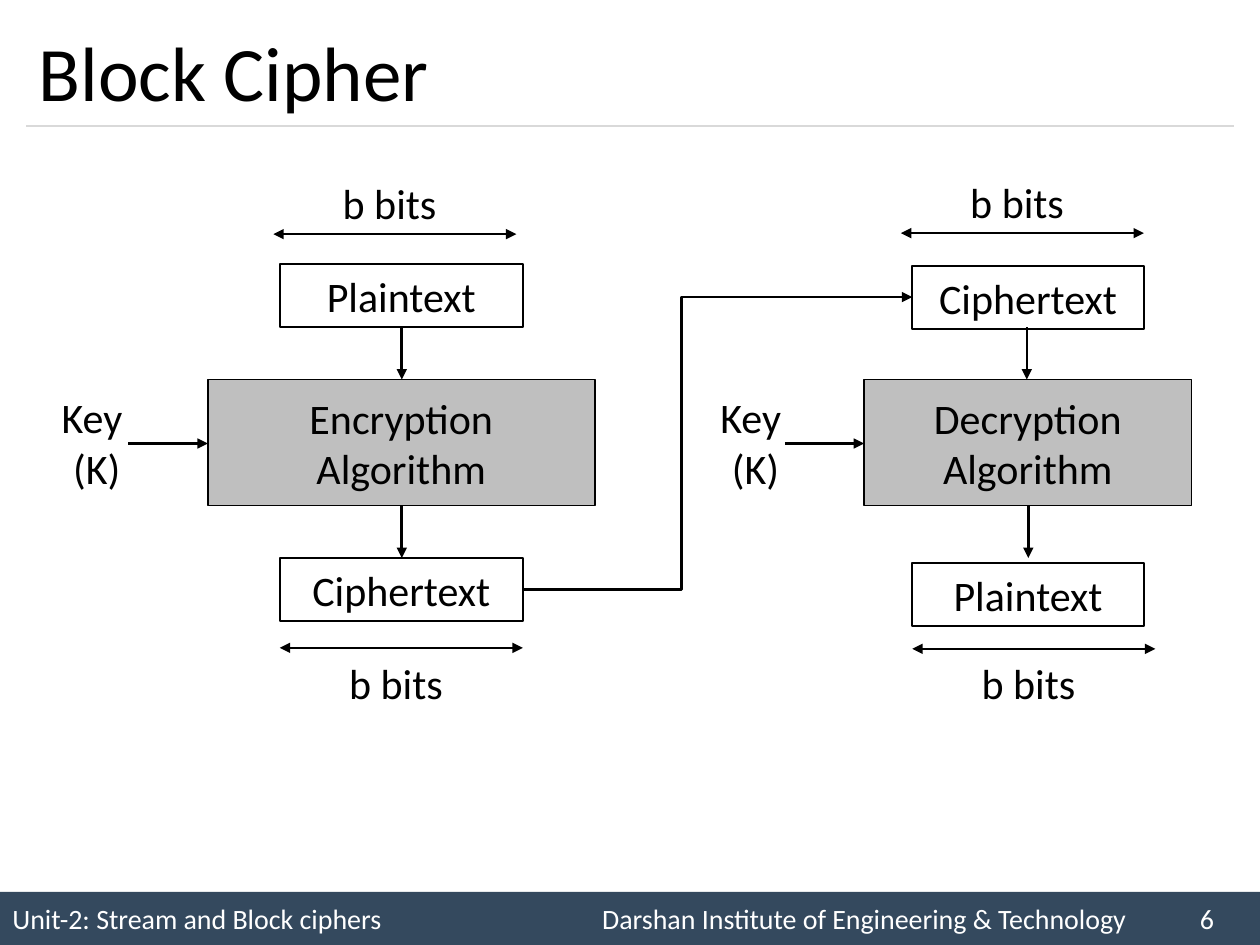
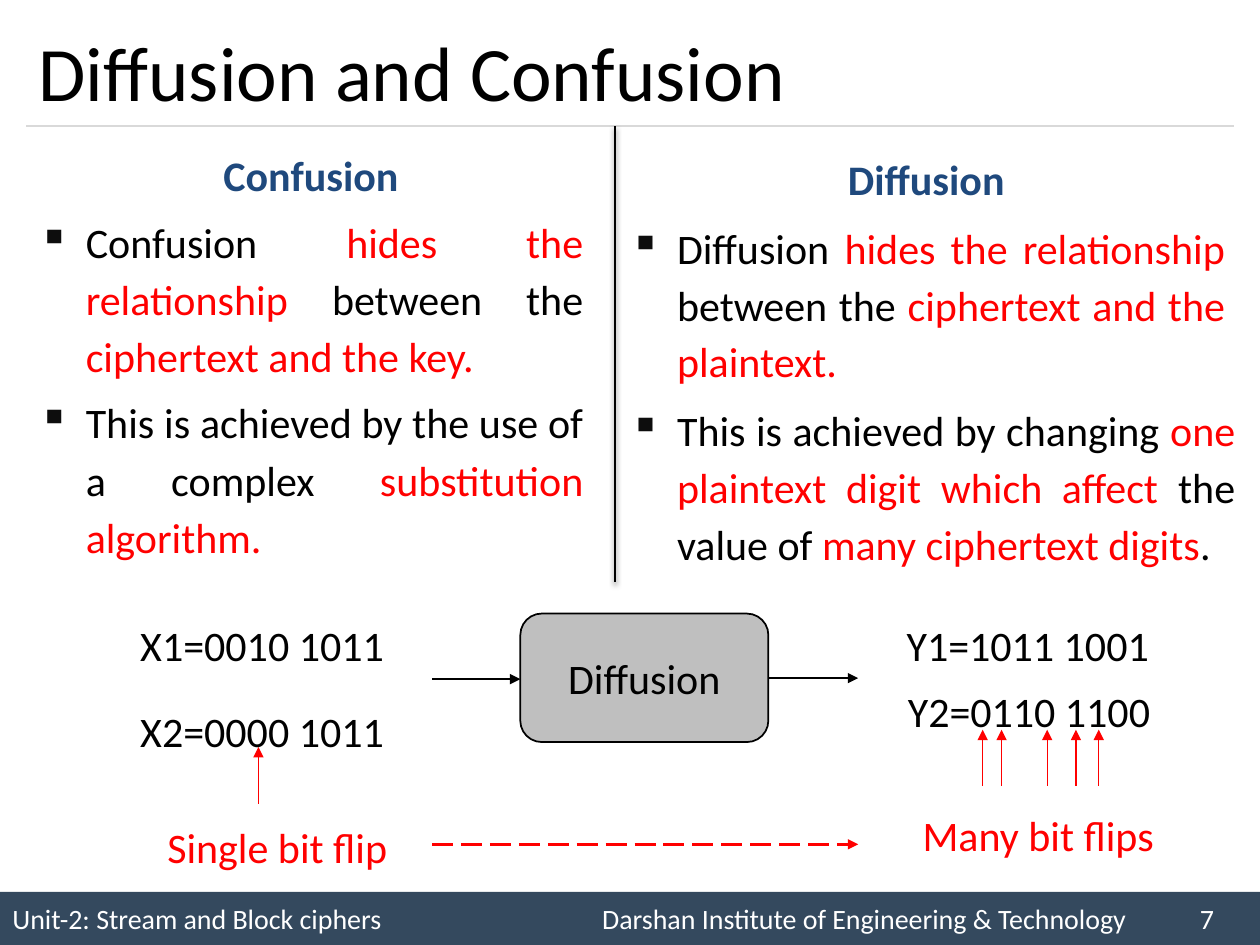
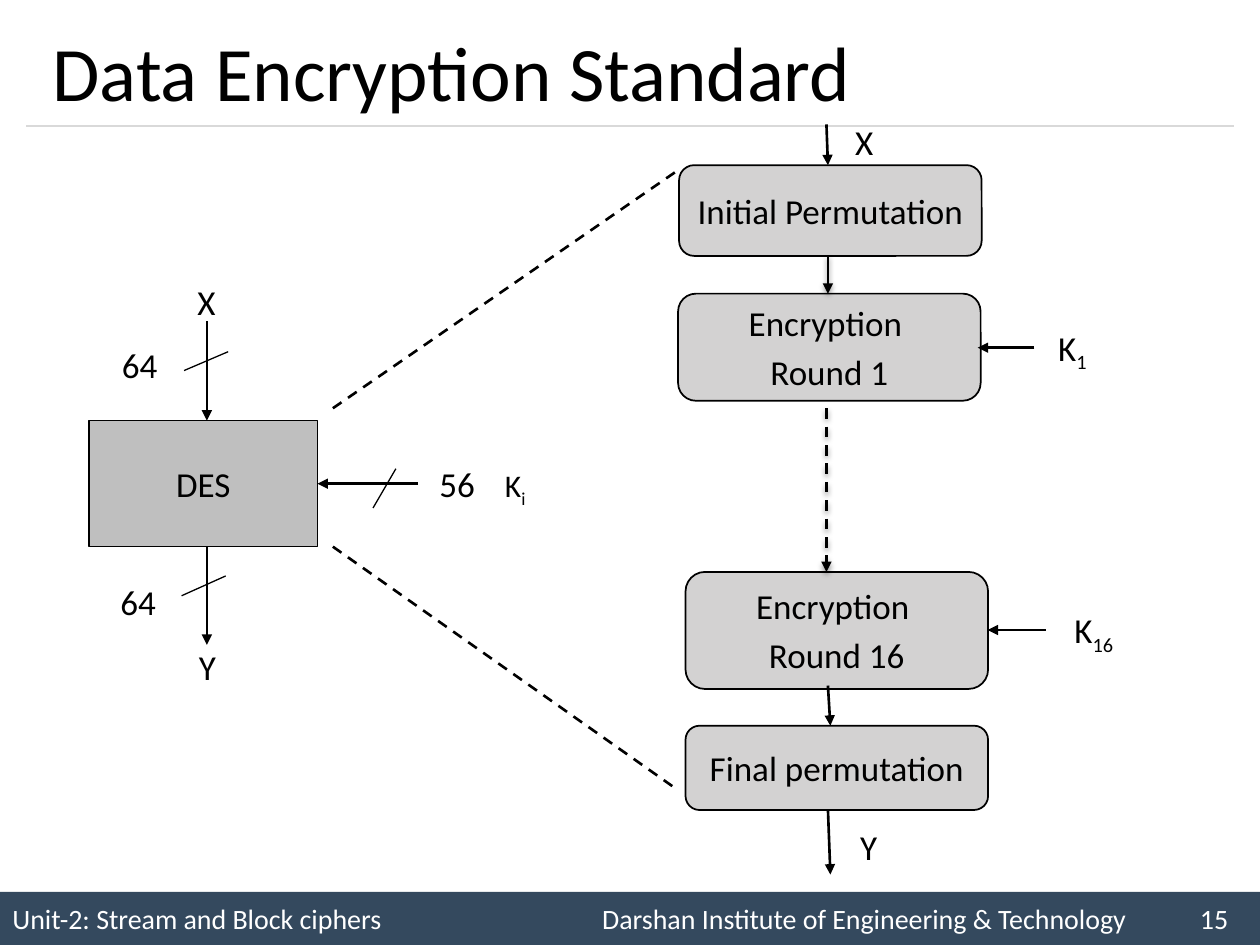
"""Build three slides on block ciphers, confusion and diffusion, and DES."""
from lxml import etree
from pptx import Presentation
from pptx import util as u
from pptx.dml.color import RGBColor
from pptx.enum import dml, shapes, text
from pptx.oxml import ns

COLORS = {"ink": "000000", "paper": "FFFFFF", "band": "34495E", "rule": "D9D9D9",
          "heading": "1F497D", "accent": "FF0000", "bullet": "0D0D0D",
          "algorithm": "BFBFBF", "stage": "D3D2D2"}
FONT = "Calibri"
FOOTER = "Unit-2: Stream and Block ciphers\tDarshan Institute of Engineering & Technology\t"
FOOTER_TABS = (11.89, 23.94)
CENTER, JUSTIFY = text.PP_ALIGN.CENTER, text.PP_ALIGN.JUSTIFY
RECT, ROUND = shapes.MSO_SHAPE.RECTANGLE, shapes.MSO_SHAPE.ROUNDED_RECTANGLE
DASH, LONG_DASH = dml.MSO_LINE.DASH, dml.MSO_LINE.LONG_DASH
RED = {"color": "accent"}
SUBSCRIPT = {"baseline": -25000}
CENTERED = {"alignment": CENTER}
SMALL = {"size": 20}

CIPHER_BOXES = [
    ("Encryption Algorithm", (4.19, 7.65, 7.8, 2.54), "algorithm"),
    ("Decryption Algorithm", (17.42, 7.65, 6.6, 2.54), "algorithm"),
    ("Plaintext", (5.64, 5.33, 4.9, 1.27), "paper"),
    ("Ciphertext", (5.64, 11.25, 4.9, 1.27), "paper"),
    ("Ciphertext", (18.39, 5.36, 4.67, 1.27), "paper"),
    ("Plaintext", (18.39, 11.35, 4.67, 1.27), "paper"),
]
CIPHER_ARROWS = [
    (8.1, 6.6, 8.1, 7.65), (8.1, 10.19, 8.1, 11.25),
    (20.7, 6.6, 20.7, 7.65), (20.73, 10.19, 20.73, 11.25),
    (2.59, 8.94, 4.19, 8.94), (15.82, 8.94, 17.42, 8.94),
]
KEY_LEFTS = (0.97, 14.25)
BLOCK_WIDTH = 4.9
BLOCK_WIDTHS = [(5.51, 4.72, -1.27), (18.16, 4.7, -1.27),
                (5.64, 13.06, 0.06), (18.39, 13.08, 0.06)]

CONFUSION = [
    [("Confusion ", {}), ("hides the relationship ", RED), ("between the ", {}),
     ("ciphertext and the key.", RED)],
    [("This is achieved by the use of a complex ", {}), ("substitution algorithm.", RED)],
]
DIFFUSION = [
    ((12.45, 4.22, 12.5, 3.73),
     [("Diffusion ", {}), ("hides the relationship ", RED), ("between the ", {}),
      ("ciphertext and the plaintext.", RED)]),
    ((12.45, 7.9, 12.7, 3.73),
     [("This is achieved by changing ", {}), ("one plaintext digit which affect ", RED),
      ("the value of ", {}), ("many ciphertext digits", RED), (".", {})]),
]
BIT_LABELS = [
    ("X1=0010 1011", (2.49, 12.37, 5.59, 1.27), "ink"),
    ("X2=0000 1011", (2.49, 14.1, 5.59, 1.27), "ink"),
    ("Y1=1011 1001", (17.75, 12.37, 5.94, 1.27), "ink"),
    ("Y2=0110 1100", (17.8, 13.69, 5.89, 1.27), "ink"),
    ("Single bit flip", (2.49, 16.43, 6.2, 1.27), "accent"),
    ("Many bit flips", (17.83, 16.2, 6.2, 1.27), "accent"),
]
INPUT_FLIP = (5.21, 15.06)
OUTPUT_FLIPS = [(x, 14.71) for x in (19.81, 20.19, 21.11, 21.69, 22.15)]
FLIP_LENGTH = 1.14

STAGES = [
    (["Initial Permutation"], 13.69, 3.33, 1.83),
    (["Encryption ", "Round 1"], 13.67, 5.92, 2.16),
    (["Encryption ", "Round 16"], 13.82, 11.53, 2.36),
    (["Final permutation"], 13.82, 14.63, 1.7),
]
STAGE_WIDTH = 6.1
DES_ARROWS = [
    (4.17, 6.48, 4.17, 8.48), (4.17, 11.02, 4.17, 13), (8.43, 9.75, 6.4, 9.75),
    (16.66, 2.51, 16.69, 3.33), (16.69, 13.82, 16.74, 14.63),
    (16.69, 16.31, 16.74, 17.63), (20.85, 7.01, 19.71, 7.01), (21.08, 12.7, 19.91, 12.7),
]
BUS_SLASHES = [(3.71, 7.47, 4.6, 7.09), (3.66, 12.01, 4.55, 11.61), (7.52, 10.24, 7.98, 9.45)]
ZOOM_LINES = [(6.71, 8.23, 13.67, 3.43), (6.71, 11.02, 13.67, 15.93)]
DES_LABELS = [
    ("X", 3.73, 5.54, 0.89), ("Y", 3.76, 12.88, 0.86),
    ("64", 2.21, 6.81, 1.24), ("64", 2.18, 11.58, 1.24), ("56", 8.61, 9.19, 1.24),
    ("X", 16.99, 2.31, 0.89), ("Y", 17.09, 16.51, 0.86),
    ([("K", {}), ("1", SUBSCRIPT)], 21.08, 6.45, 1.12),
    ([("K", {}), ("16", SUBSCRIPT)], 21.41, 12.14, 1.37),
]


def rgb(name):
    return RGBColor.from_string(COLORS[name])


def add_xml(parent, tag, **attributes):
    element = etree.SubElement(parent, ns.qn(tag))
    for name, value in attributes.items():
        element.set(name, str(value))
    return element


def add_bullet(paragraph):
    properties = paragraph._p.get_or_add_pPr()
    properties.set("marL", str(u.Cm(0.95)))
    properties.set("indent", str(-u.Cm(0.95)))
    add_xml(add_xml(properties, "a:buClr"), "a:srgbClr", val=COLORS["bullet"])
    add_xml(properties, "a:buChar", char="▪")


def write(frame, paragraphs, font=None, layout=None, bullets=False, gap=None):
    """Fill a text frame; a paragraph is a string or a list of (text, format) runs."""
    for index, content in enumerate(paragraphs):
        paragraph = frame.add_paragraph() if index else frame.paragraphs[0]
        if bullets:
            add_bullet(paragraph)
        if index and gap:
            paragraph.space_before = u.Pt(gap)
        for name, value in (layout or {}).items():
            setattr(paragraph, name, value)
        for words, changes in [(content, {})] if isinstance(content, str) else content:
            run = paragraph.add_run()
            run.text = words
            values = {"name": FONT, "size": 24, "color": "ink", **(font or {}), **changes}
            run.font.color.rgb = rgb(values.pop("color"))
            run.font.size = u.Pt(values.pop("size"))
            if "baseline" in values:
                run._r.get_or_add_rPr().set("baseline", str(values.pop("baseline")))
            for name, value in values.items():
                setattr(run.font, name, value)


def add_text(slide, box, paragraphs, wrap=True, anchor=text.MSO_ANCHOR.TOP, **style):
    frame = slide.shapes.add_textbox(*map(u.Cm, box)).text_frame
    frame.word_wrap = wrap
    frame.vertical_anchor = anchor
    write(frame, paragraphs, **style)


def add_box(slide, box, paragraphs, fill, kind=RECT, outline=True, margin=0.25, **style):
    shape = slide.shapes.add_shape(kind, *map(u.Cm, box))
    shape.shadow.inherit = False
    shape.fill.solid()
    shape.fill.fore_color.rgb = rgb(fill)
    if outline:
        shape.line.color.rgb = rgb("ink")
        shape.line.width = u.Pt(1)
    else:
        shape.line.fill.background()
    frame = shape.text_frame
    frame.word_wrap = True
    frame.vertical_anchor = text.MSO_ANCHOR.MIDDLE
    frame.margin_left = frame.margin_right = u.Cm(margin)
    write(frame, paragraphs, **style)
    return shape


def add_line(slide, ends, color="ink", width=1.5, dash=None, head=False, tail=False,
             shadow=False, bend=None):
    kind = shapes.MSO_CONNECTOR.ELBOW if bend else shapes.MSO_CONNECTOR.STRAIGHT
    connector = slide.shapes.add_connector(kind, *map(u.Cm, ends))
    connector.line.color.rgb = rgb(color)
    connector.line.width = u.Pt(width)
    if dash:
        connector.line.dash_style = dash
    outline = connector.line._get_or_add_ln()
    for tag, wanted in (("a:headEnd", head), ("a:tailEnd", tail)):
        if wanted:
            add_xml(outline, tag, type="triangle")
    properties = connector._element.spPr
    if bend:
        guides = properties.find(ns.qn("a:prstGeom")).find(ns.qn("a:avLst"))
        add_xml(guides, "a:gd", name="adj1", fmla=f"val {bend}")
    effects = add_xml(properties, "a:effectLst")
    if shadow:
        cast = add_xml(effects, "a:outerShdw", blurRad=u.Pt(3.1), dist=u.Pt(1.6),
                       dir=5400000, rotWithShape=0)
        add_xml(add_xml(cast, "a:srgbClr", val=COLORS["ink"]), "a:alpha", val=38000)


def add_slide(presentation, title, page, title_left=0.53):
    slide = presentation.slides.add_slide(presentation.slide_layouts[6])
    band = add_box(slide, (0, 17.98, 25.4, 1.07), [], "band", outline=False)
    paragraph = band.text_frame.paragraphs[0]
    paragraph.alignment = text.PP_ALIGN.LEFT
    stops = add_xml(paragraph._p.get_or_add_pPr(), "a:tabLst")
    for position in FOOTER_TABS:
        add_xml(stops, "a:tab", pos=u.Cm(position), algn="l")
    write(band.text_frame, [f"{FOOTER}{page}"], font={"size": 16, "color": "paper"})
    add_line(slide, (0.53, 2.54, 24.87, 2.54), color="rule", width=0.75)
    add_text(slide, (title_left, 0.3, 24.33, 2.24), [title],
             anchor=text.MSO_ANCHOR.MIDDLE, font={"size": 44})
    return slide


def build_block_cipher(presentation):
    slide = add_slide(presentation, "Block Cipher", 6)
    for label, box, fill in CIPHER_BOXES:
        add_box(slide, box, [label], fill, margin=0.5, layout=CENTERED)
    add_line(slide, (10.54, 11.89, 18.39, 5.99), tail=True, bend=40800)
    for ends in CIPHER_ARROWS:
        add_line(slide, ends, tail=True)
    for left in KEY_LEFTS:
        add_text(slide, (left, 7.77, 1.96, 2.31), ["Key ", "(K)"], wrap=False, layout=CENTERED)
    for left, top, label_shift in BLOCK_WIDTHS:
        add_line(slide, (left, top, left + BLOCK_WIDTH, top), head=True, tail=True)
        add_text(slide, (left + 1.15, top + label_shift, 2.62, 1.27), ["b bits"], wrap=False)


def build_diffusion(presentation):
    slide = add_slide(presentation, "Diffusion and Confusion", 7)
    heading = {"color": "heading", "bold": True}
    centered = {"alignment": CENTER, "line_spacing": 1.14}
    justified = {"alignment": JUSTIFY, "line_spacing": 1.14}
    add_text(slide, (0.53, 2.74, 11.48, 1.35), ["Confusion"], font=heading, layout=centered)
    add_text(slide, (0.53, 4.09, 11.48, 7.5), CONFUSION, layout=justified, bullets=True, gap=4.8)
    add_text(slide, (12.4, 2.82, 12.55, 1.35), ["Diffusion"], font=heading, layout=centered)
    for box, runs in DIFFUSION:
        add_text(slide, box, [runs], layout={**justified, "line_spacing": 1.13}, bullets=True)
    add_line(slide, (12.4, 2.54, 12.4, 11.73), shadow=True)
    for label, box, color in BIT_LABELS:
        add_text(slide, box, [label], font={"color": color}, layout=CENTERED)
    add_box(slide, (10.49, 12.37, 5, 2.59), ["Diffusion"], "algorithm", ROUND, layout=CENTERED)
    add_line(slide, (8.71, 13.69, 10.49, 13.69), tail=True)
    add_line(slide, (15.49, 13.67, 17.3, 13.67), tail=True)
    add_line(slide, (8.71, 17.02, 17.3, 17.02), color="accent", dash=LONG_DASH, tail=True)
    for x, top in [INPUT_FLIP, *OUTPUT_FLIPS]:
        add_line(slide, (x, top, x, top + FLIP_LENGTH), color="accent", width=0.75, head=True)


def build_des(presentation):
    slide = add_slide(presentation, "Data Encryption Standard", 15, title_left=0.81)
    add_box(slide, (1.8, 8.48, 4.6, 2.54), ["DES"], "algorithm", font=SMALL, layout=CENTERED)
    for lines, left, top, height in STAGES:
        add_box(slide, (left, top, STAGE_WIDTH, height), lines, "stage", ROUND,
                font=SMALL, layout=CENTERED, gap=4)
    for ends in ZOOM_LINES:
        add_line(slide, ends, dash=DASH)
    for ends in DES_ARROWS:
        add_line(slide, ends, tail=True)
    for ends in BUS_SLASHES:
        add_line(slide, ends, width=0.75)
    add_line(slide, (16.69, 5.16, 16.69, 5.92), tail=True, shadow=True)
    add_line(slide, (16.66, 8.23, 16.66, 11.53), dash=DASH, tail=True, shadow=True)
    for label, left, top, width in DES_LABELS:
        add_text(slide, (left, top, width, 1.12), [label], wrap=False, font=SMALL)
    add_text(slide, (9.93, 9.27, 0.94, 1.02), [[("K", {}), ("i", SUBSCRIPT)]],
             wrap=False, font={"size": 18})


def main():
    presentation = Presentation()
    presentation.slide_width, presentation.slide_height = u.Cm(25.4), u.Cm(19.05)
    build_block_cipher(presentation)
    build_diffusion(presentation)
    build_des(presentation)
    presentation.save("out.pptx")


if __name__ == "__main__":
    main()
